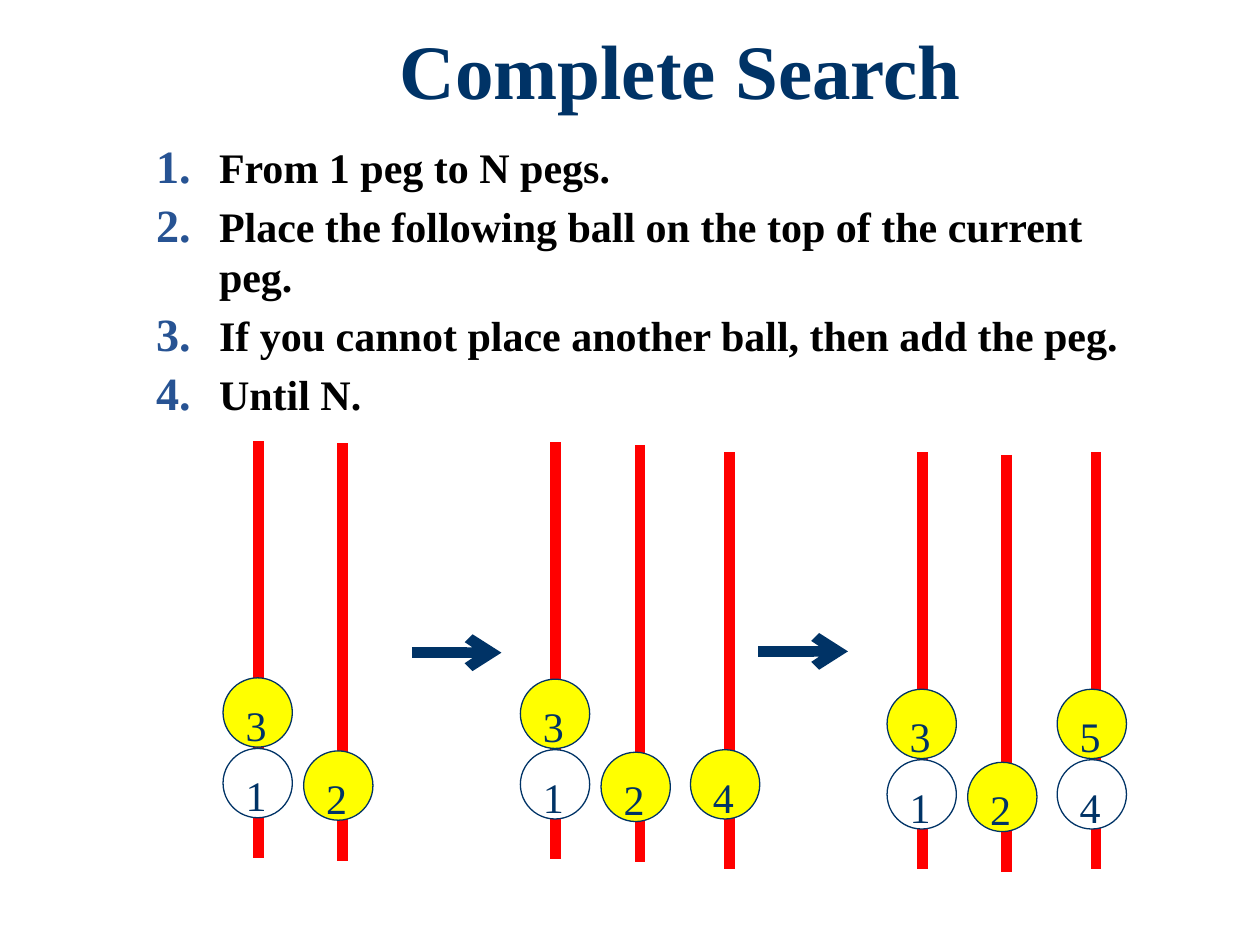
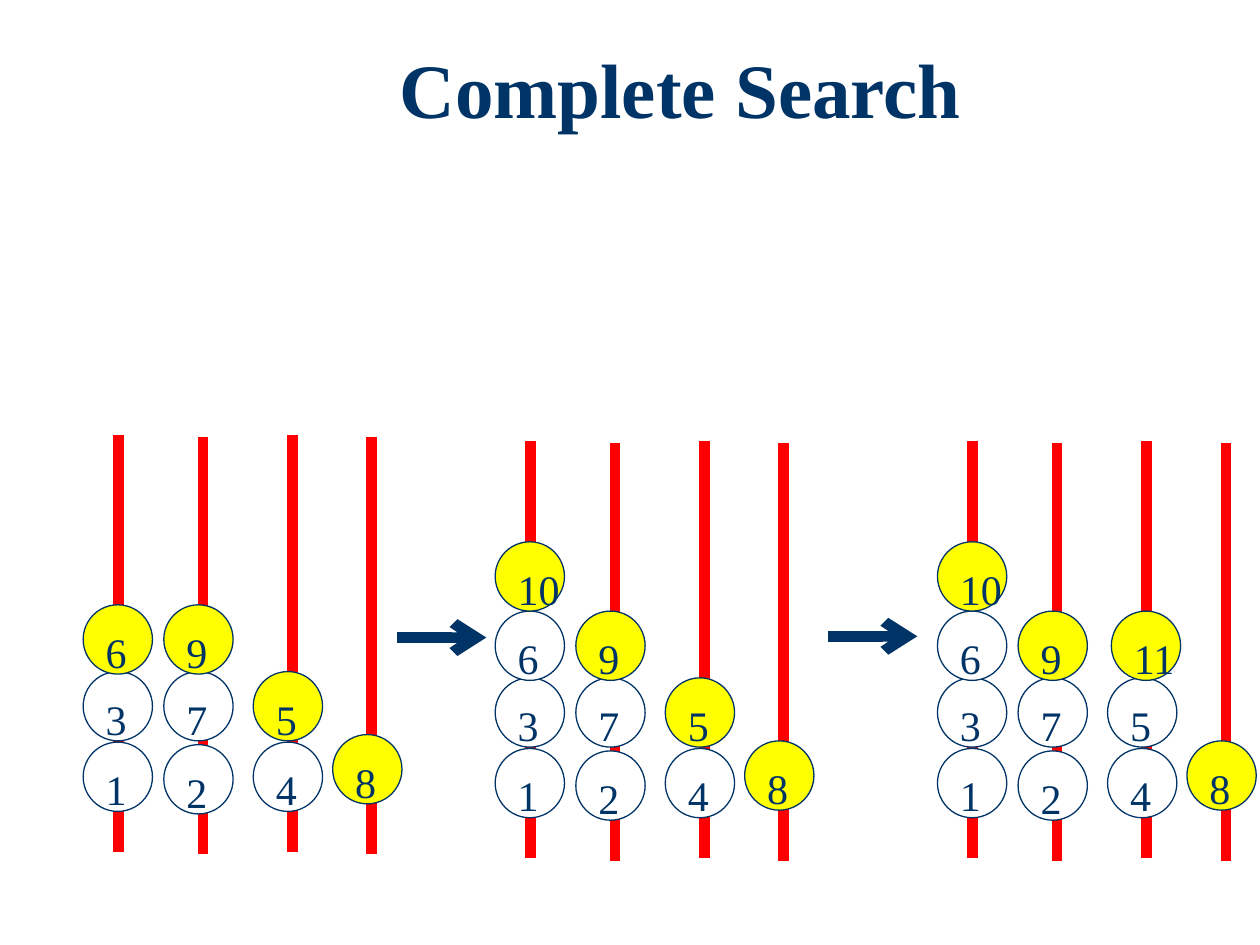
from lxml import etree
from pptx import Presentation, util as u
from pptx.dml.color import RGBColor
from pptx.enum import shapes, text
from pptx.oxml.ns import qn

# Content: each stack lists its balls from the bottom up; origin is the first peg's top
TITLE = "Complete Search"
STEPS = [
    "From 1 peg to N pegs.",
    "Place the following ball on the top of the current peg.",
    "If you cannot place another ball, then add the peg.",
    "Until N.",
]
SLIDES = [
    {
        "title_top": 0.21,
        "steps": STEPS,
        "states": [
            {"origin": (2.05, 3.5), "stacks": [[1, 3], [2]]},
            {"origin": (4.41, 3.51), "stacks": [[1, 3], [2], [4]], "peg_drops": {2: 0.08}},
            {"origin": (7.32, 3.59), "stacks": [[1, 3], [2], [4, 5]]},
        ],
        "arrows": [(3.27, 5.18), (6.02, 5.17)],
    },
    {
        "title_top": 0.36,
        "steps": [],
        "states": [
            {"origin": (0.94, 3.45), "stacks": [[1, 3, 6], [2, 7, 9], [4, 5], [8]]},
            {"origin": (4.21, 3.5), "stacks": [[1, 3, 6, 10], [2, 7, 9], [4, 5], [8]]},
            {"origin": (7.72, 3.5), "stacks": [[1, 3, 6, 10], [2, 7, 9], [4, 5, 11], [8]]},
        ],
        "arrows": [(3.15, 5.06), (6.57, 5.05)],
    },
]

# Shared style
FONT = "Times New Roman"
NAVY = RGBColor(0x00, 0x33, 0x66)
RED = RGBColor(0xFF, 0x00, 0x00)
YELLOW = RGBColor(0xFF, 0xFF, 0x00)
WHITE = RGBColor(0xFF, 0xFF, 0xFF)
BLACK = RGBColor(0x00, 0x00, 0x00)
NUMBER_COLOR = "275393"

# Geometry in inches, relative to the origin of a state
BALL_SIZE = 0.55
PEG_LENGTH = 3.31
ARROW_LENGTH = 0.71
PEG_OFFSETS = [(0, 0), (0.67, 0.02), (1.38, 0), (2.01, 0.02)]
BALL_SHIFTS = [-0.28, -0.31, -0.31, -0.31]
BASE_LEVELS = [2.44, 2.46, 2.44, 2.38]
UPPER_LEVELS = [1.88, 1.35, 0.8]
BALL_NUDGES = {11: 0.03}


def format_runs(paragraph, size, color, bold=False):
    for run in paragraph.runs:
        run.font.name = FONT
        run.font.size = u.Pt(size)
        run.font.bold = bold
        run.font.color.rgb = color


def add_line(slide, x1, y1, x2, y2, color, arrow=False):
    connector = slide.shapes.add_connector(
        shapes.MSO_CONNECTOR.STRAIGHT, *map(u.Inches, (x1, y1, x2, y2)))
    connector.line.color.rgb = color
    connector.line.width = u.Pt(6)
    if arrow:
        line = connector.line._get_or_add_ln()
        etree.SubElement(line, qn("a:tailEnd"), type="arrow")
    etree.SubElement(connector._element.spPr, qn("a:effectLst"))


def add_ball(slide, left, top, number, color):
    ball = slide.shapes.add_shape(
        shapes.MSO_SHAPE.OVAL, *map(u.Inches, (left, top, BALL_SIZE, BALL_SIZE)))
    ball.shadow.inherit = False
    ball.fill.solid()
    ball.fill.fore_color.rgb = color
    ball.line.color.rgb = NAVY
    ball.line.width = u.Pt(0.75)
    frame = ball.text_frame
    frame.text = str(number)
    frame.word_wrap = False
    frame.vertical_anchor = text.MSO_ANCHOR.TOP
    frame.margin_top, frame.margin_bottom = u.Inches(0.09), 0
    paragraph = frame.paragraphs[0]
    paragraph.alignment = text.PP_ALIGN.LEFT
    format_runs(paragraph, 24, NAVY)


def add_state(slide, origin, stacks, peg_drops=None):
    """Draw the pegs and their stacks; the top ball of each stack is yellow."""
    x, y = origin
    for column, stack in enumerate(stacks):
        dx, dy = PEG_OFFSETS[column]
        peg_x = x + dx
        peg_top = y + (peg_drops or {}).get(column, dy)
        add_line(slide, peg_x, peg_top, peg_x, peg_top + PEG_LENGTH, RED)
        levels = [BASE_LEVELS[column], *UPPER_LEVELS]
        for number, level in zip(stack, levels):
            left = peg_x + BALL_SHIFTS[column] + BALL_NUDGES.get(number, 0)
            color = YELLOW if number == stack[-1] else WHITE
            add_ball(slide, left, y + level, number, color)


def set_title(slide, top):
    title = slide.shapes.title
    title.left, title.top, title.width, title.height = map(u.Inches, (1.4, top, 8, 0.92))
    frame = title.text_frame
    frame.text = TITLE
    frame.auto_size = text.MSO_AUTO_SIZE.NONE
    frame.vertical_anchor = text.MSO_ANCHOR.TOP
    paragraph = frame.paragraphs[0]
    paragraph.alignment = text.PP_ALIGN.CENTER
    paragraph.line_spacing = 0.9
    format_runs(paragraph, 44, NAVY, bold=True)


def add_steps(slide, steps):
    box = slide.shapes.add_textbox(*map(u.Inches, (1.14, 1.07, 8, 2.28)))
    frame = box.text_frame
    frame.word_wrap = True
    frame.text = "\n".join(steps)
    for paragraph in frame.paragraphs:
        paragraph.space_before = u.Pt(5)
        format_runs(paragraph, 24, BLACK, bold=True)
        # Hanging automatic numbers
        properties = paragraph._p.get_or_add_pPr()
        properties.set("marL", str(u.Inches(0.5)))
        properties.set("indent", str(-u.Inches(0.5)))
        number_color = etree.SubElement(properties, qn("a:buClr"))
        etree.SubElement(number_color, qn("a:srgbClr"), val=NUMBER_COLOR)
        etree.SubElement(properties, qn("a:buSzPct"), val="110000")
        etree.SubElement(properties, qn("a:buFont"), typeface=FONT)
        etree.SubElement(properties, qn("a:buAutoNum"), type="arabicPeriod")


def main():
    presentation = Presentation()
    presentation.slide_width, presentation.slide_height = u.Inches(10), u.Inches(7.5)
    title_only = presentation.slide_layouts[5]
    for content in SLIDES:
        slide = presentation.slides.add_slide(title_only)
        set_title(slide, content["title_top"])
        if content["steps"]:
            add_steps(slide, content["steps"])
        for state in content["states"]:
            add_state(slide, **state)
        for x, y in content["arrows"]:
            add_line(slide, x, y, x + ARROW_LENGTH, y, NAVY, arrow=True)
    presentation.save("out.pptx")


if __name__ == "__main__":
    main()
